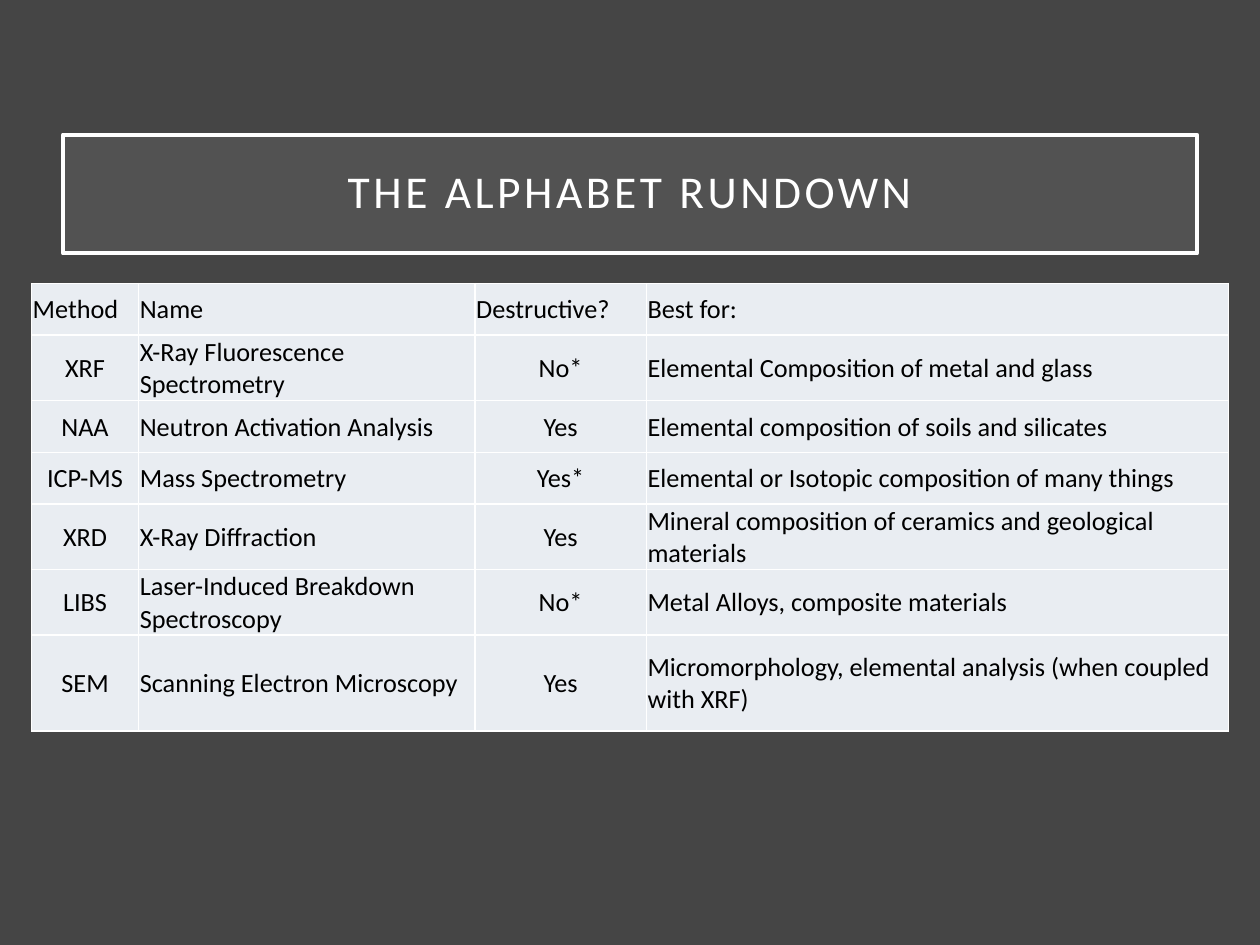
import pptx
import pptx.util
import pptx.dml.color
import pptx.enum.text
import pptx.oxml.ns
from lxml import etree
from pptx.util import Inches

HUES = {"back": "454545", "box": "9E9E9E", "cell": "E9EDF2",
        "white": "FFFFFF", "black": "000000"}
FONT = "Calibri"
COLS = [0.85, 2.67, 1.36, 4.62]
HIGHS = [0.41, 0.51, 0.41, 0.41, 0.41, 0.51, 0.76]
ROWS = [
    ("Method", "Name", "Destructive?", "Best for:"),
    ("XRF", "X-Ray Fluorescence Spectrometry", "No*",
     "Elemental Composition of metal and glass"),
    ("NAA", "Neutron Activation Analysis", "Yes",
     "Elemental composition of soils and silicates"),
    ("ICP-MS", "Mass Spectrometry", "Yes*",
     "Elemental or Isotopic composition of many things"),
    ("XRD", "X-Ray Diffraction", "Yes",
     "Mineral composition of ceramics and geological materials"),
    ("LIBS", "Laser-Induced Breakdown Spectroscopy", "No*",
     "Metal Alloys, composite materials"),
    ("SEM", "Scanning Electron Microscopy", "Yes",
     "Micromorphology, elemental analysis (when coupled with XRF)"),
]
ALIGN = pptx.enum.text.PP_ALIGN
MIDDLE = pptx.enum.text.MSO_ANCHOR.MIDDLE


def rgb(name):
    return pptx.dml.color.RGBColor.from_string(HUES[name])


def sub(node, tag, **attrs):
    return etree.SubElement(node, pptx.oxml.ns.qn(tag), **attrs)


def paint(fill, name):
    fill.solid()
    fill.fore_color.rgb = rgb(name)


def write(frame, text, size=15, hue="black", align=ALIGN.LEFT, lead=None,
          track=None):
    para = frame.paragraphs[0]
    para.alignment = align
    if lead:
        para.line_spacing = lead
    run = para.add_run()
    run.text = text
    run.font.size = pptx.util.Pt(size)
    run.font.name = FONT
    run.font.bold = False
    run.font.color.rgb = rgb(hue)
    if track:
        run.font._element.set("spc", str(track * 100))


def edge(cell):
    props = cell._tc.get_or_add_tcPr()
    for side in "LRTB":
        line = sub(props, f"a:ln{side}", w=str(pptx.util.Pt(1)))
        sub(sub(line, "a:solidFill"), "a:srgbClr", val=HUES["white"])


def add_title(slide, text, left, top, width, height):
    title = slide.shapes.title
    title.left, title.top = Inches(left), Inches(top)
    title.width, title.height = Inches(width), Inches(height)
    paint(title.fill, "box")
    # Let the background show through the box
    tint = title.fill._xPr.find(".//" + pptx.oxml.ns.qn("a:srgbClr"))
    sub(tint, "a:alpha", val="15000")
    title.line.width = pptx.util.Pt(2.5)
    paint(title.line.fill, "white")
    frame = title.text_frame
    frame.word_wrap = True
    frame.auto_size = pptx.enum.text.MSO_AUTO_SIZE.NONE
    frame.vertical_anchor = MIDDLE
    frame.margin_left = frame.margin_right = Inches(0.2)
    frame.margin_top = frame.margin_bottom = Inches(0.2)
    write(frame, text, size=26, hue="white", align=ALIGN.CENTER, lead=0.9,
          track=2)


def add_grid(slide, left, top, width, height):
    grid = slide.shapes.add_table(
        len(ROWS), len(COLS), Inches(left), Inches(top),
        Inches(width), Inches(height)).table
    for col, size in zip(grid.columns, COLS):
        col.width = Inches(size * width / sum(COLS))
    for row, size in zip(grid.rows, HIGHS):
        row.height = Inches(size * height / sum(HIGHS))
    for r, texts in enumerate(ROWS):
        for c, text in enumerate(texts):
            cell = grid.cell(r, c)
            edge(cell)
            paint(cell.fill, "cell")
            cell.vertical_anchor = MIDDLE
            cell.margin_left = cell.margin_right = Inches(0.01)
            cell.margin_top, cell.margin_bottom = Inches(0.01), 0
            # Codes and yes/no answers are centred below the header
            mid = r > 0 and c in (0, 2)
            write(cell.text_frame, text,
                  align=ALIGN.CENTER if mid else ALIGN.LEFT)


def main():
    deck = pptx.Presentation()
    deck.slide_width, deck.slide_height = Inches(10), Inches(7.5)
    slide = deck.slides.add_slide(deck.slide_layouts[5])
    paint(slide.background.fill, "back")
    add_title(slide, "THE ALPHABET RUNDOWN", 0.5, 1.07, 9, 0.94)
    add_grid(slide, 0.25, 2.25, 9.5, sum(HIGHS))
    deck.save("out.pptx")


if __name__ == "__main__":
    main()
